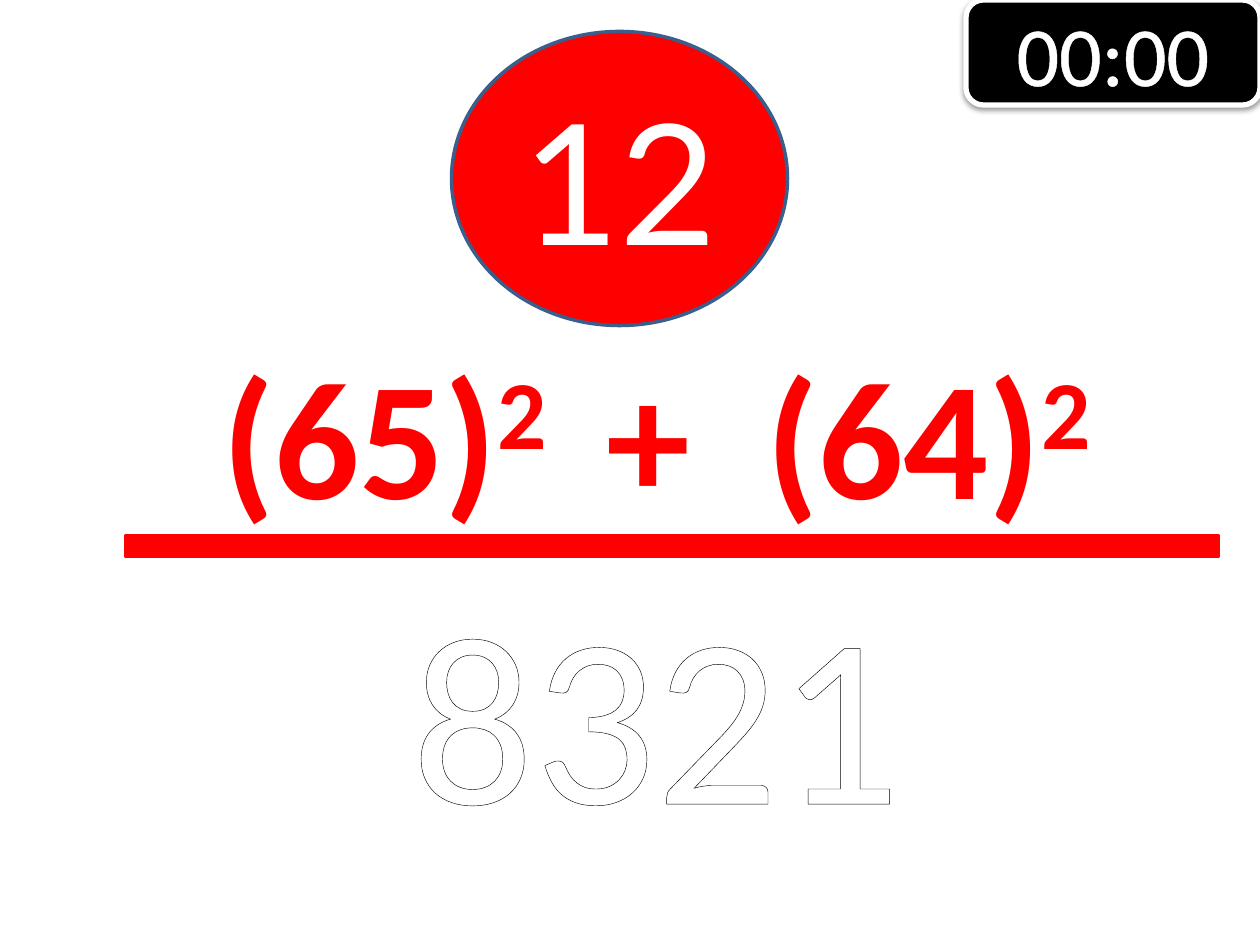
from lxml.etree import SubElement
from pptx import Presentation
from pptx.dml.color import RGBColor
from pptx.enum.shapes import MSO_SHAPE
from pptx.enum.text import MSO_ANCHOR, MSO_AUTO_SIZE, PP_ALIGN
from pptx.oxml import parse_xml
from pptx.oxml.ns import nsdecls, qn
from pptx.util import Pt

RED, WHITE, BLACK = "FF0000", "FFFFFF", "000000"


def color(value):
    """Turn a hex string into a colour."""
    return RGBColor.from_string(value)


def add_shape(page, kind, box, fill, line, width):
    """Add a filled, outlined shape without a shadow."""
    shape = page.shapes.add_shape(kind, *map(Pt, box))
    shape.shadow.inherit = False
    shape.fill.solid()
    shape.fill.fore_color.rgb = color(fill)
    shape.line.color.rgb = color(line)
    shape.line.width = Pt(width)
    return shape


def add_text_box(page, box, wrap):
    """Add a text box that grows with its text."""
    frame = page.shapes.add_textbox(*map(Pt, box)).text_frame
    frame.word_wrap = wrap
    frame.auto_size = MSO_AUTO_SIZE.SHAPE_TO_FIT_TEXT
    return frame


def write(frame, pieces, size, fill, outline=None, font="Calibri", bold=False, align=PP_ALIGN.CENTER):
    """Write (text, baseline percent) pieces as one paragraph."""
    para = frame.paragraphs[0]
    para.alignment = align
    para.font.name = font
    para.font.size = Pt(size)
    para.font.bold = bold
    para.font.color.rgb = color(fill)
    for text, baseline in pieces:
        span = para.add_run()
        span.text = text
        properties = span._r.get_or_add_rPr()
        if baseline:
            properties.set("baseline", str(baseline * 1000))
        if outline:
            properties.insert(0, parse_xml(
                f'<a:ln {nsdecls("a")} w="{Pt(1.45)}"><a:solidFill>'
                f'<a:srgbClr val="{outline}"/></a:solidFill></a:ln>'))


def add_number_badge(page, box, number):
    """Draw the round question number."""
    badge = add_shape(page, MSO_SHAPE.OVAL, box, RED, "3A5F8C", 2)
    badge.text_frame.vertical_anchor = MSO_ANCHOR.MIDDLE
    write(badge.text_frame, [(number, 0)], 96, WHITE, font="Lato")


def add_timer(page, box, time):
    """Draw the timer with its soft shadow."""
    timer = add_shape(page, MSO_SHAPE.ROUNDED_RECTANGLE, box, BLACK, WHITE, 3)
    effects = timer._element.spPr.find(qn("a:effectLst"))
    shadow = SubElement(effects, qn("a:outerShdw"), blurRad=str(Pt(3.1)),
                        dist=str(Pt(1.6)), dir="5400000", rotWithShape="0")
    tint = SubElement(shadow, qn("a:srgbClr"), val=BLACK)
    SubElement(tint, qn("a:alpha"), val="38000")
    timer.text_frame.vertical_anchor = MSO_ANCHOR.MIDDLE
    write(timer.text_frame, [(time, 0)], 48, WHITE, WHITE)


def add_problem(page, box, pieces, answer):
    """Place the sum, the rule below it and the answer."""
    left, top, width, height = box
    sum_frame = add_text_box(page, (left + 48, top, 526.5, 124), False)
    write(sum_frame, pieces, 96, RED, RED, bold=True, align=PP_ALIGN.JUSTIFY)
    add_shape(page, MSO_SHAPE.RECTANGLE, (left, top + 120, width, 12), RED, RED, 2)
    answer_frame = add_text_box(page, (left + 150, top + 132, 306, height - 132), True)
    write(answer_frame, [(answer, 0)], 138, WHITE, BLACK)


def main():
    """Build the slide and save it."""
    deck = Presentation()
    deck.slide_width, deck.slide_height = Pt(720), Pt(540)
    page = deck.slides.add_slide(deck.slide_layouts[6])
    add_number_badge(page, (258, 18, 192, 168), "12")
    add_timer(page, (552, 0, 168, 60), "00:00")
    pieces = [("(65)", 0), ("2 ", 30), (" +  (64)", 0), ("2", 30)]
    add_problem(page, (72, 186, 624, 306), pieces, "8321")
    deck.save("out.pptx")


if __name__ == "__main__":
    main()
